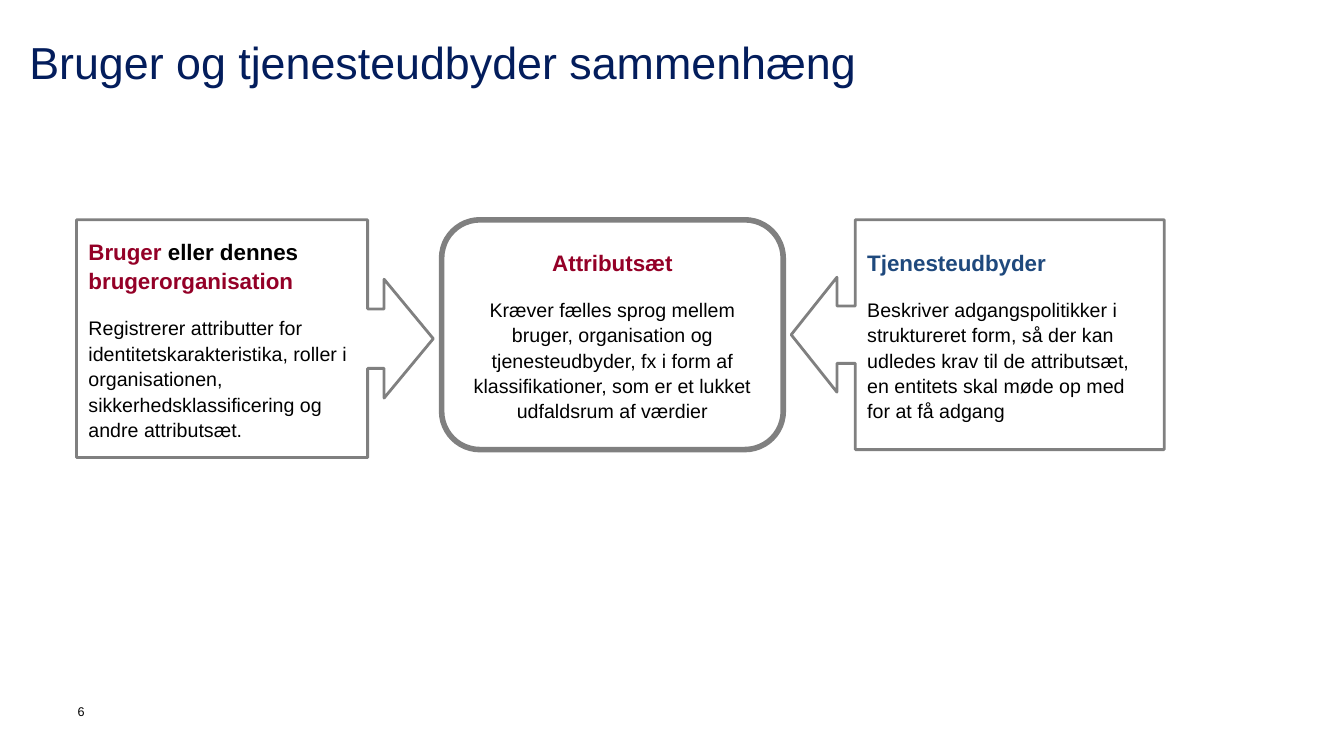
"""Build the slide on how user and service provider relate through attributes."""
import pptx
import pptx.util
import pptx.dml.color
import pptx.enum.shapes
import pptx.enum.text

Cm = pptx.util.Cm
Pt = pptx.util.Pt
RGBColor = pptx.dml.color.RGBColor
Shape = pptx.enum.shapes.MSO_SHAPE
Align = pptx.enum.text.PP_ALIGN
Anchor = pptx.enum.text.MSO_ANCHOR

NAVY = RGBColor(0x03, 0x1D, 0x5C)
CRIMSON = RGBColor(0x94, 0x00, 0x27)
BLUE = RGBColor(0x1F, 0x49, 0x7D)
GREY = RGBColor(0x80, 0x80, 0x80)
BLACK = RGBColor(0, 0, 0)
WHITE = RGBColor(0xFF, 0xFF, 0xFF)


def style_run(run, size, color, bold=False):
    run.font.name = "Arial"
    run.font.size = Pt(size)
    run.font.color.rgb = color
    run.font.bold = bold


def add_label(text, left, top, width, height, size, color):
    frame = slide.shapes.add_textbox(Cm(left), Cm(top), Cm(width), Cm(height)).text_frame
    frame.word_wrap = True
    frame.margin_left = frame.margin_top = frame.margin_right = frame.margin_bottom = 0
    frame.text = text
    style_run(frame.paragraphs[0].runs[0], size, color)
    return frame


presentation = pptx.Presentation()
presentation.slide_width = Cm(33.87)
presentation.slide_height = Cm(19.05)
slide = presentation.slides.add_slide(presentation.slide_layouts[6])

add_label("6", 1.96, 17.73, 0.79, 0.99, 9, BLACK)
title = add_label("Bruger og tjenesteudbyder sammenhæng", 0.74, 1.02, 31.17, 1.32, 32, NAVY)
title.paragraphs[0].line_spacing = 0.9

roles = [
    (Shape.ROUNDED_RECTANGLE, 11.13, 8.61, 5.79, [], 4, Align.CENTER,
     [("Attributsæt", CRIMSON)],
     "Kræver fælles sprog mellem bruger, organisation og tjenesteudbyder, "
     "fx i form af klassifikationer, som er et lukket udfaldsrum af værdier"),
    (Shape.RIGHT_ARROW_CALLOUT, 1.93, 8.99, 5.99, [0.25, 0.25, 0.207, 0.816], 2, Align.LEFT,
     [("Bruger", CRIMSON), (" eller dennes ", BLACK), ("brugerorganisation", CRIMSON)],
     "Registrerer attributter for identitetskarakteristika, roller i organisationen, "
     "sikkerhedsklassificering og andre attributsæt."),
    (Shape.LEFT_ARROW_CALLOUT, 19.94, 9.4, 5.79, [0.25, 0.25, 0.199, 0.828], 2, Align.LEFT,
     [("Tjenesteudbyder", BLUE)],
     "Beskriver adgangspolitikker i struktureret form, så der kan udledes krav til "
     "de attributsæt, en entitets skal møde op med for at få adgang"),
]

for outline, left, width, height, adjustments, line_width, align, heading, description in roles:
    role = slide.shapes.add_shape(outline, Cm(left), Cm(5.54), Cm(width), Cm(height))
    role.shadow.inherit = False
    for index, value in enumerate(adjustments):
        role.adjustments[index] = value
    if outline == Shape.ROUNDED_RECTANGLE:
        role.fill.solid()
        role.fill.fore_color.rgb = WHITE
    else:
        role.fill.background()
    role.line.color.rgb = GREY
    role.line.width = Pt(line_width)

    frame = role.text_frame
    frame.word_wrap = True
    frame.vertical_anchor = Anchor.MIDDLE
    frame.margin_left = frame.margin_top = frame.margin_right = frame.margin_bottom = Cm(0.3)
    heading_line = frame.paragraphs[0]
    for words, color in heading:
        run = heading_line.add_run()
        run.text = words
        style_run(run, 16, color, True)
    heading_line.space_after = Pt(6)
    description_line = frame.add_paragraph()
    description_line.text = description
    style_run(description_line.runs[0], 14, BLACK)
    for paragraph in frame.paragraphs:
        paragraph.alignment = align
        paragraph.line_spacing = 1.08
        paragraph.space_before = Pt(8.5)

presentation.save("out.pptx")
